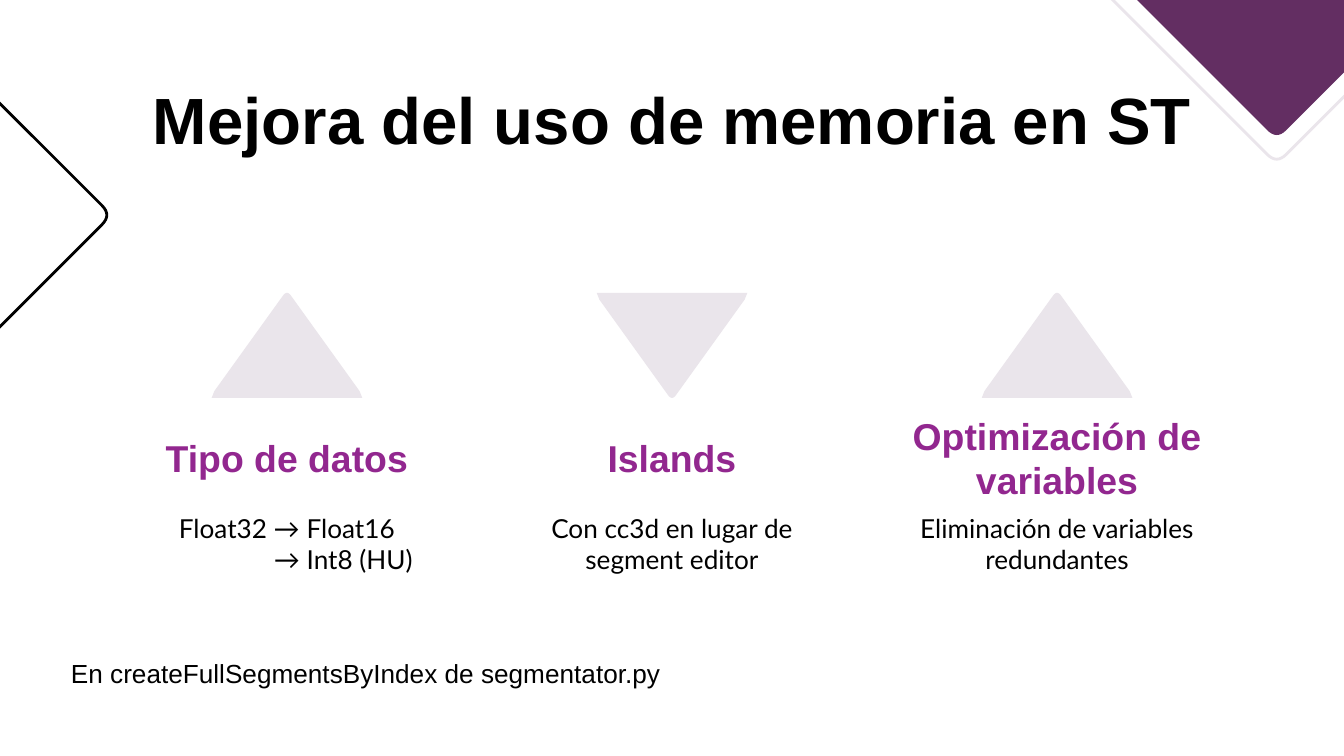
"""Build the slide on memory use improvements in ST."""
import pptx
import pptx.dml.color
import pptx.enum.text
import pptx.util

prs = pptx.Presentation()
prs.slide_width = pptx.util.Inches(10)
prs.slide_height = prs.slide_width * 9 // 16
slide = prs.slides.add_slide(prs.slide_layouts[5])
rgb = pptx.dml.color.RGBColor.from_string
ANCHOR = pptx.enum.text.MSO_ANCHOR
ALIGN = pptx.enum.text.PP_ALIGN


def wedge(x, y, profile, toward, fill=None, line=None):
    """Draw a rounded wedge from the middle of its base toward a direction."""
    dx, dy = toward
    (nx, ny), steps = profile[-1], 8
    rise = nx * (ny - profile[1][1]) / (profile[1][0] - nx)
    tip = []
    for i in range(1, steps):
        t = i / steps
        tip.append((nx * (2 * t - 1), ny + 2 * t * (1 - t) * rise))
    outline = [(-a, b) for a, b in profile] + tip + profile[::-1]
    pts = [(pptx.util.Inches(x + a * abs(dy) + b * dx),
            pptx.util.Inches(y + a * abs(dx) + b * dy)) for a, b in outline]
    fb = slide.shapes.build_freeform(*pts[0])
    fb.add_line_segments(pts[1:], close=True)
    sp = fb.convert_to_shape()
    sp.shadow.inherit = False
    if fill:
        sp.fill.solid()
        sp.fill.fore_color.rgb = rgb(fill)
    else:
        sp.fill.background()
    if line:
        sp.line.color.rgb = rgb(line)
        sp.line.width = pptx.util.Pt(1.5)
    else:
        sp.line.fill.background()


def write(sp, box, text, size, color="000000", font="Arial", bold=False,
          align=ALIGN.CENTER, anchor=ANCHOR.MIDDLE, inset=0.1):
    """Place a text shape, fill it and format its runs."""
    sp.left, sp.top, sp.width, sp.height = map(pptx.util.Inches, box)
    tf = sp.text_frame
    tf.text = text
    tf.word_wrap = True
    tf.auto_size = pptx.enum.text.MSO_AUTO_SIZE.NONE
    tf.vertical_anchor = anchor
    tf.margin_left = tf.margin_right = pptx.util.Inches(0.1)
    tf.margin_top = tf.margin_bottom = pptx.util.Inches(inset)
    for p in tf.paragraphs:
        p.alignment = align
        for r in p.runs:
            r.font.size = pptx.util.Pt(size)
            r.font.name = font
            r.font.bold = bold
            r.font.color.rgb = rgb(color)
    return tf


corner = [(1.28, 0), (1.25, 0.07), (0.07, 1.25)]
side = [(1.26, 0), (1.23, 0.07), (0.07, 1.23)]
triangle = [(0.56, 0), (0.54, 0.05), (0.03, 0.76)]
down, up, right = (0, 1), (0, -1), (1, 0)

wedge(9.5, -0.1, corner, down, line="EAE5EB")
wedge(9.5, -0.28, corner, down, fill="632E62")
wedge(-0.47, 1.6, side, right, line="000000")

write(slide.shapes.title, (0.79, 0.49, 8.43, 0.63),
      "Mejora del uso de memoria en ST", 35, bold=True, anchor=ANCHOR.TOP)

columns = [
    ("Tipo de datos", "Float32 → Float16\n→ Int8 (HU)", up),
    ("Islands", "Con cc3d en lugar de segment editor", down),
    ("Optimización de variables", "Eliminación de variables redundantes", up),
]
first_x, last_x, col_w = 0.91, 6.64, 2.45
pitch = (last_x - first_x) / (len(columns) - 1)
head_y, head_h, body_h = 3.19, 0.43, 0.85
tri_top, tri_bottom = 2.18, 2.96
for i, (head, body, toward) in enumerate(columns):
    x = first_x + i * pitch
    wedge(x + col_w / 2, tri_top if toward == down else tri_bottom,
          triangle, toward, fill="EAE5EB")
    write(slide.shapes.add_textbox(0, 0, 0, 0), (x, head_y, col_w, head_h),
          head, 20, color="92278F", bold=True)
    tf = write(slide.shapes.add_textbox(0, 0, 0, 0),
               (x, head_y + head_h, col_w, body_h), body, 14, font="Lato")
    for p in tf.paragraphs[1:]:
        p._p.get_or_add_pPr().set("marL", str(pptx.util.Inches(0.84)))

write(slide.shapes.add_textbox(0, 0, 0, 0), (0.43, 4.84, 5.64, 0.34),
      "En createFullSegmentsByIndex de segmentator.py", 14,
      align=ALIGN.LEFT, anchor=ANCHOR.TOP, inset=0.05)

prs.save("out.pptx")
